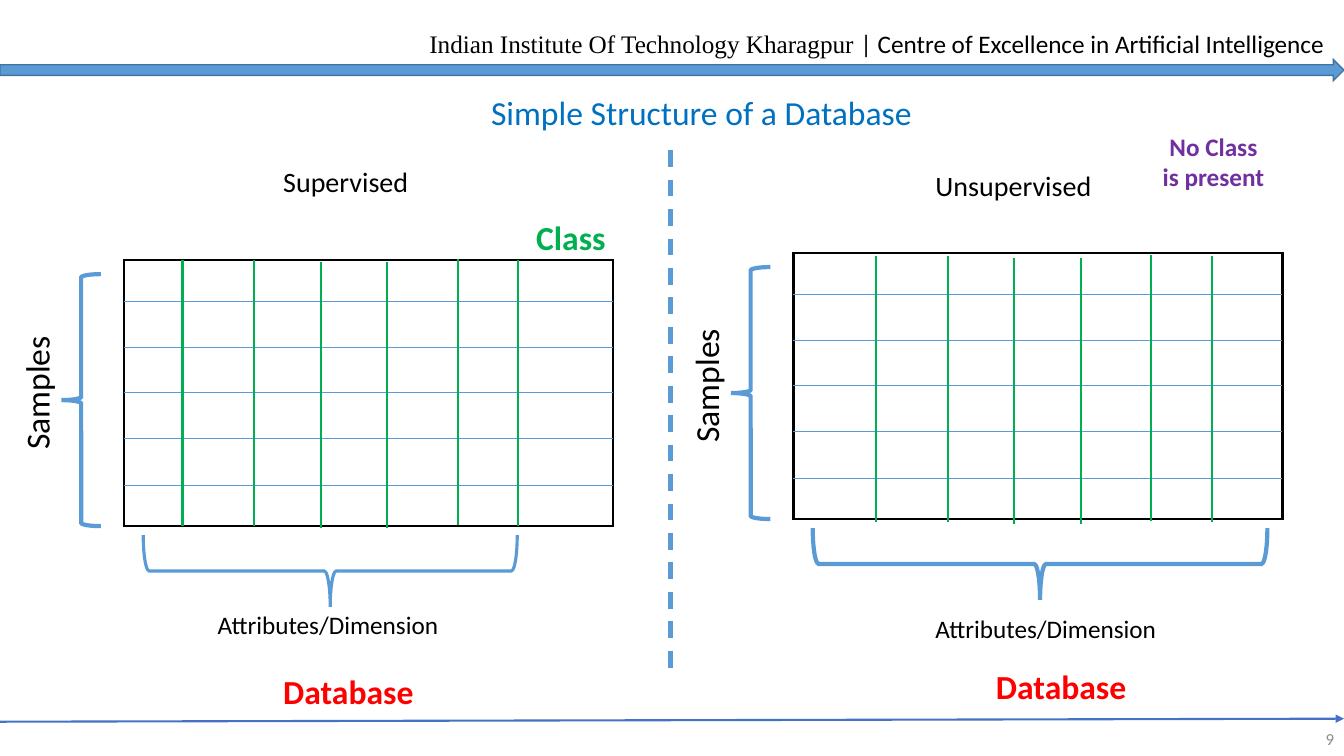
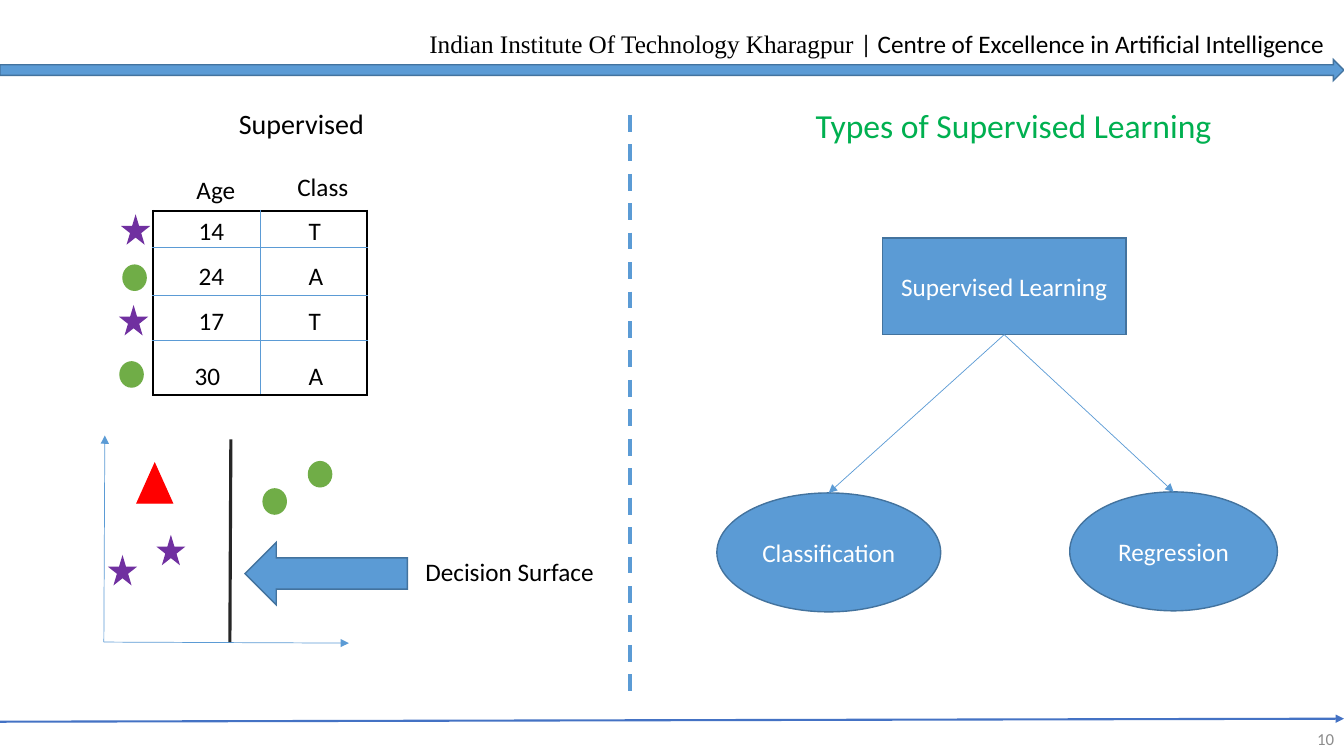
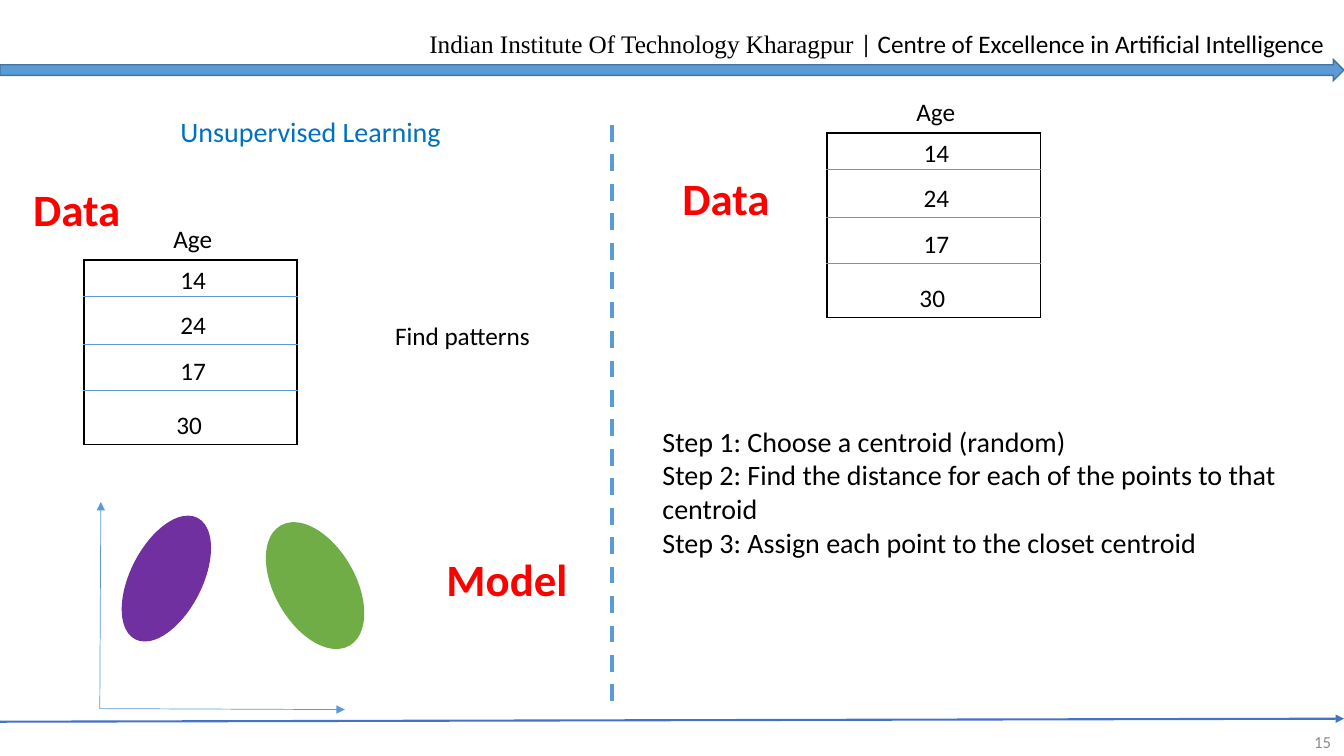
from lxml import etree
from pptx import Presentation
from pptx.dml.color import RGBColor
from pptx.enum.dml import MSO_LINE
from pptx.enum.shapes import MSO_CONNECTOR, MSO_SHAPE
from pptx.enum.text import MSO_ANCHOR, MSO_AUTO_SIZE, PP_ALIGN
from pptx.oxml.ns import qn
from pptx.util import Inches, Pt

BLACK = RGBColor(0x00, 0x00, 0x00)
WHITE = RGBColor(0xFF, 0xFF, 0xFF)
INK = RGBColor(0x26, 0x26, 0x26)
GREY = RGBColor(0x8C, 0x8C, 0x8C)
BLUE = RGBColor(0x5B, 0x9B, 0xD5)
EDGE_BLUE = RGBColor(0x43, 0x73, 0x9E)
FOOTER_BLUE = RGBColor(0x44, 0x72, 0xC4)
TITLE_BLUE = RGBColor(0x00, 0x70, 0xC0)
GREEN = RGBColor(0x00, 0xB0, 0x50)
LEAF = RGBColor(0x70, 0xAD, 0x47)
PURPLE = RGBColor(0x70, 0x30, 0xA0)
RED = RGBColor(0xFF, 0x00, 0x00)

FONT = "Calibri"
HEADER_FONT = "Times New Roman"
TEXT_HEIGHT = {12: 0.4, 18: 0.4, 20: 0.44, 24: 0.5, 32: 0.64}

LEFT, CENTER, RIGHT = PP_ALIGN.LEFT, PP_ALIGN.CENTER, PP_ALIGN.RIGHT
TOP, MIDDLE, BOTTOM = MSO_ANCHOR.TOP, MSO_ANCHOR.MIDDLE, MSO_ANCHOR.BOTTOM
STRAIGHT = MSO_CONNECTOR.STRAIGHT
DASH = MSO_LINE.DASH
NO_AUTOFIT = MSO_AUTO_SIZE.NONE
RECTANGLE, OVAL = MSO_SHAPE.RECTANGLE, MSO_SHAPE.OVAL
STAR, DOT = MSO_SHAPE.STAR_5_POINT, MSO_SHAPE.FLOWCHART_CONNECTOR
TRIANGLE = MSO_SHAPE.ISOSCELES_TRIANGLE
LEFT_ARROW, RIGHT_ARROW = MSO_SHAPE.LEFT_ARROW, MSO_SHAPE.RIGHT_ARROW
LEFT_BRACE, RIGHT_BRACE = MSO_SHAPE.LEFT_BRACE, MSO_SHAPE.RIGHT_BRACE

GRID_WIDTH, GRID_HEIGHT = 4.85, 2.64
GRID_ROWS = [0.41, 0.87, 1.31, 1.77, 2.24]
GRID_COLUMNS = [(0.58, 0), (1.29, 0), (1.95, 0.02), (2.61, 0.02), (3.31, -0.01), (3.91, 0)]
DATA_ROWS = [0.36, 0.48, 0.45, 0.54]
DATA_WIDTH = 2.12
AGES = ["14", "24", "17", "30"]
CLASSES = ["T", "A", "T", "A"]


def place(box, left, top, width, height):
    box.left, box.top = Inches(left), Inches(top)
    box.width, box.height = Inches(width), Inches(height)


def style_paragraph(para, size, color, bold=False, align=LEFT):
    para.alignment = align
    para.font.name = FONT
    para.font.size = Pt(size)
    para.font.bold = bold
    para.font.color.rgb = color


def add_label(page, left, top, width, text, size=18, color=BLACK, bold=False,
              align=LEFT, wrap=False, rotation=0):
    height = Inches(TEXT_HEIGHT[size])
    box = page.shapes.add_textbox(Inches(left), Inches(top), Inches(width), height)
    box.rotation = rotation
    box.text_frame.word_wrap = wrap
    box.text_frame.text = text
    style_paragraph(box.text_frame.paragraphs[0], size, color, bold, align)
    return box


def set_title(page, left, top, width, text, size, color):
    title = page.shapes.title
    place(title, left, top, width, TEXT_HEIGHT[size])
    frame = title.text_frame
    frame.text = text
    frame.word_wrap = False
    frame.auto_size = NO_AUTOFIT
    frame.vertical_anchor = TOP
    style_paragraph(frame.paragraphs[0], size, color)


def fill_body(page, left, top, width, height, lines):
    """Put plain, unbulleted lines into the body placeholder."""
    body = page.placeholders[1]
    place(body, left, top, width, height)
    frame = body.text_frame
    frame.text = "\n".join(lines)
    frame.auto_size = NO_AUTOFIT
    for para in frame.paragraphs:
        para.space_before = Pt(0)
        properties = para._p.get_or_add_pPr()
        properties.set("marL", "0")
        properties.set("indent", "0")
        etree.SubElement(properties, qn("a:buNone"))
        style_paragraph(para, 20, BLACK)


def add_line(page, start, end, color=BLUE, weight=0.5, arrow=False, dash=None):
    line = page.shapes.add_connector(STRAIGHT, *map(Inches, start + end))
    line.line.color.rgb = color
    line.line.width = Pt(weight)
    if dash:
        line.line.dash_style = dash
    properties = line._element.spPr
    if arrow:
        outline = properties.find(qn("a:ln"))
        etree.SubElement(outline, qn("a:tailEnd"), type="triangle")
    etree.SubElement(properties, qn("a:effectLst"))
    return line


def add_figure(page, kind, left, top, width, height, fill=BLUE, edge=EDGE_BLUE,
               weight=1, rotation=0):
    """Add a preset shape with sharp corners; fill None leaves it open."""
    figure = page.shapes.add_shape(kind, *map(Inches, (left, top, width, height)))
    figure.shadow.inherit = False
    figure.rotation = rotation
    figure.line.color.rgb = edge
    figure.line.width = Pt(weight)
    outline = figure._element.spPr.find(qn("a:ln"))
    etree.SubElement(outline, qn("a:miter"), lim="800000")
    if fill is None:
        figure.fill.background()
    else:
        figure.fill.solid()
        figure.fill.fore_color.rgb = fill
    return figure


def add_brace(page, kind, left, top, width, height, weight=3, rotation=0):
    add_figure(page, kind, left, top, width, height, None, BLUE, weight, rotation)


def add_node(page, kind, left, top, width, height, text):
    node = add_figure(page, kind, left, top, width, height)
    frame = node.text_frame
    frame.text = text
    frame.word_wrap = True
    frame.vertical_anchor = MIDDLE
    frame.margin_left = frame.margin_right = Inches(0.05)
    style_paragraph(frame.paragraphs[0], 18, WHITE, align=CENTER)
    return node


def add_star(page, left, top):
    add_figure(page, STAR, left, top, 0.25, 0.26, PURPLE, PURPLE)


def add_dot(page, left, top):
    add_figure(page, DOT, left, top, 0.23, 0.25, LEAF, LEAF)


def add_divider(page, x, top, bottom):
    add_line(page, (x, top), (x, bottom), weight=3, dash=DASH)


def add_axes(page, left, bottom):
    origin = (left, bottom)
    add_line(page, origin, (left + 2.43, bottom + 0.01), arrow=True)
    add_line(page, origin, (left + 0.01, bottom - 2.05), arrow=True)


def set_border(cell, side, color, weight):
    border = etree.SubElement(cell._tc.get_or_add_tcPr(), qn("a:" + side),
                              w=str(Pt(weight)))
    fill = etree.SubElement(border, qn("a:solidFill"))
    etree.SubElement(fill, qn("a:srgbClr"), val=str(color))


def add_data_table(page, left, top, columns, indents):
    """Add an unfilled table with a black frame and thin blue inner lines."""
    frame = page.shapes.add_table(len(DATA_ROWS), len(columns), Inches(left), Inches(top),
                                  Inches(DATA_WIDTH), Inches(sum(DATA_ROWS)))
    table = frame.table
    table.first_row = table.horz_banding = False
    for column in table.columns:
        column.width = Inches(DATA_WIDTH / len(columns))
    for row, height in zip(table.rows, DATA_ROWS):
        row.height = Inches(height)
    outer, inner = (BLACK, 1.5), (BLUE, 0.5)
    last_row, last_column = len(DATA_ROWS) - 1, len(columns) - 1
    for c, values in enumerate(columns):
        for r, value in enumerate(values):
            cell = table.cell(r, c)
            set_border(cell, "lnL", *(outer if c == 0 else inner))
            set_border(cell, "lnR", *(outer if c == last_column else inner))
            set_border(cell, "lnT", *(outer if r == 0 else inner))
            set_border(cell, "lnB", *(outer if r == last_row else inner))
            cell.fill.background()
            cell.text = value
            cell.vertical_anchor = BOTTOM
            cell.margin_left = Inches(indents[c])
            cell.margin_top = 0
            cell.margin_bottom = Inches(0.03 if r else 0)
            style_paragraph(cell.text_frame.paragraphs[0], 18, BLACK)
    table.cell(last_row, 0).margin_left = Inches(indents[0] - 0.04)


def add_age_table(page, left, top):
    add_label(page, left + 0.79, top - 0.41, 0.59, "Age")
    add_data_table(page, left, top, [AGES], [0.96])


def add_database(page, left, top, column_shift=0, column_drop=0):
    """Add the schematic of an empty database with its samples brace and label."""
    add_figure(page, RECTANGLE, left, top, GRID_WIDTH, GRID_HEIGHT, None, BLACK, 1.5)
    for offset in GRID_ROWS:
        y = top + offset
        add_line(page, (left, y), (left + GRID_WIDTH, y))
    for offset, drop in GRID_COLUMNS:
        x, y = left + offset + column_shift, top + drop + column_drop
        add_line(page, (x, y), (x, y + GRID_HEIGHT), GREEN, 1.5)
    add_brace(page, LEFT_BRACE, left - 0.62, top + 0.14, 0.39, 2.5)
    add_label(page, left - 1.54, top + 1.06, 1.34, "Samples", 24, rotation=270)


def add_page(deck, layout, number, number_left=10.33, number_top=7.13):
    """Add a slide with the shared header, footer rule and page number."""
    page = deck.slides.add_slide(deck.slide_layouts[layout])
    header = add_label(page, 4.16, 0.23, 9.18, "Indian Institute Of Technology Kharagpur ")
    para = header.text_frame.paragraphs[0]
    para.runs[0].font.name = HEADER_FONT
    para.add_run().text = "| Centre of Excellence in Artificial Intelligence"
    add_figure(page, RIGHT_ARROW, 0, 0.59, 13.33, 0.21)
    add_line(page, (0, 7.16), (13.33, 7.13), FOOTER_BLUE, 1.5, arrow=True)
    box = add_label(page, number_left, number_top, 3, number, 12, GREY,
                    align=RIGHT, wrap=True)
    box.text_frame.vertical_anchor = MIDDLE
    return page


def build_structure(deck):
    page = add_page(deck, 5, "9")
    set_title(page, 4.77, 0.86, 4.41, "Simple Structure of a Database", 24, TITLE_BLUE)
    add_divider(page, 6.65, 1.49, 6.7)

    add_label(page, 2.71, 1.58, 1.52, "Supervised", 20)
    add_label(page, 5.22, 2.1, 0.9, "Class", 24, GREEN, True)
    add_database(page, 1.23, 2.58)
    add_brace(page, RIGHT_BRACE, 2.92, 3.81, 0.71, 3.71, 2.25, 90)
    add_label(page, 2.06, 6, 2.42, "Attributes/Dimension")
    add_label(page, 2.71, 6.61, 1.51, "Database", 24, RED, True)

    add_label(page, 9.18, 1.62, 1.76, "Unsupervised", 20)
    add_label(page, 11.41, 1.25, 1.25, "No Class is present", 18, PURPLE, True,
              CENTER, wrap=True)
    add_database(page, 7.87, 2.51, 0.24, 0.03)
    add_brace(page, RIGHT_BRACE, 9.96, 3.34, 0.71, 4.51, rotation=90)
    add_label(page, 9.18, 6.04, 2.42, "Attributes/Dimension")
    add_label(page, 9.78, 6.56, 1.51, "Database", 24, RED, True)


def build_supervised(deck):
    page = add_page(deck, 5, "10")
    set_title(page, 7.99, 0.99, 4.17, "Types of Supervised Learning", 24, GREEN)
    add_divider(page, 6.25, 1.14, 6.91)

    add_label(page, 2.27, 1.01, 1.52, "Supervised", 20)
    add_label(page, 1.85, 1.68, 0.59, "Age")
    add_label(page, 2.85, 1.65, 0.71, "Class")
    add_data_table(page, 1.52, 2.09, [AGES, CLASSES], [0.45, 0.48])

    add_axes(page, 1.03, 6.37)
    for left, top in [(1.22, 2.15), (1.2, 3.05), (1.09, 5.53), (1.57, 5.33)]:
        add_star(page, left, top)
    for left, top in [(1.22, 2.63), (1.19, 3.59), (2.61, 4.85), (3.06, 4.58)]:
        add_dot(page, left, top)
    add_figure(page, TRIANGLE, 1.36, 4.6, 0.35, 0.39, RED, RED)
    add_line(page, (2.29, 4.36), (2.28, 6.37), INK, 2.25)
    add_figure(page, LEFT_ARROW, 2.43, 5.38, 1.61, 0.62)
    add_label(page, 4.12, 5.47, 1.89, "Decision Surface")

    root = add_node(page, RECTANGLE, 8.75, 2.36, 2.42, 0.96, "Supervised Learning")
    for left, top, width, text in [(7.11, 4.89, 2.22, "Classification"),
                                   (10.61, 4.88, 2.06, "Regression")]:
        leaf = add_node(page, OVAL, left, top, width, 1.18, text)
        link = add_line(page, (9.96, 3.32), (left + width / 2, top), arrow=True)
        link.begin_connect(root, 2)
        link.end_connect(leaf, 0)


def build_unsupervised(deck):
    page = add_page(deck, 1, "15", 10.3, 7.16)
    set_title(page, 1.69, 1.09, 2.81, "Unsupervised Learning", 20, TITLE_BLUE)
    add_divider(page, 6.07, 1.24, 7)

    add_label(page, 0.23, 1.75, 1.07, "Data", 32, RED, True)
    add_age_table(page, 0.83, 2.58)
    add_label(page, 3.82, 3.13, 1.62, "Find patterns")
    add_axes(page, 0.99, 7.03)
    add_figure(page, OVAL, 1.3, 5.07, 0.7, 1.34, PURPLE, PURPLE, rotation=27.1)
    add_figure(page, OVAL, 2.73, 5.13, 0.79, 1.36, LEAF, LEAF, rotation=330.3)
    add_label(page, 4.33, 5.42, 1.41, "Model", 32, RED, True)

    add_label(page, 6.67, 1.64, 1.07, "Data", 32, RED, True)
    add_age_table(page, 8.2, 1.32)
    fill_body(page, 6.47, 4.16, 6.4, 1.45, [
        "Step 1: Choose a centroid (random)",
        "Step 2: Find the distance for each of the points to that centroid",
        "Step 3: Assign each point to the closet centroid",
    ])


def main():
    deck = Presentation()
    deck.slide_width, deck.slide_height = Inches(13.33), Inches(7.5)
    build_structure(deck)
    build_supervised(deck)
    build_unsupervised(deck)
    deck.save("out.pptx")


if __name__ == "__main__":
    main()
